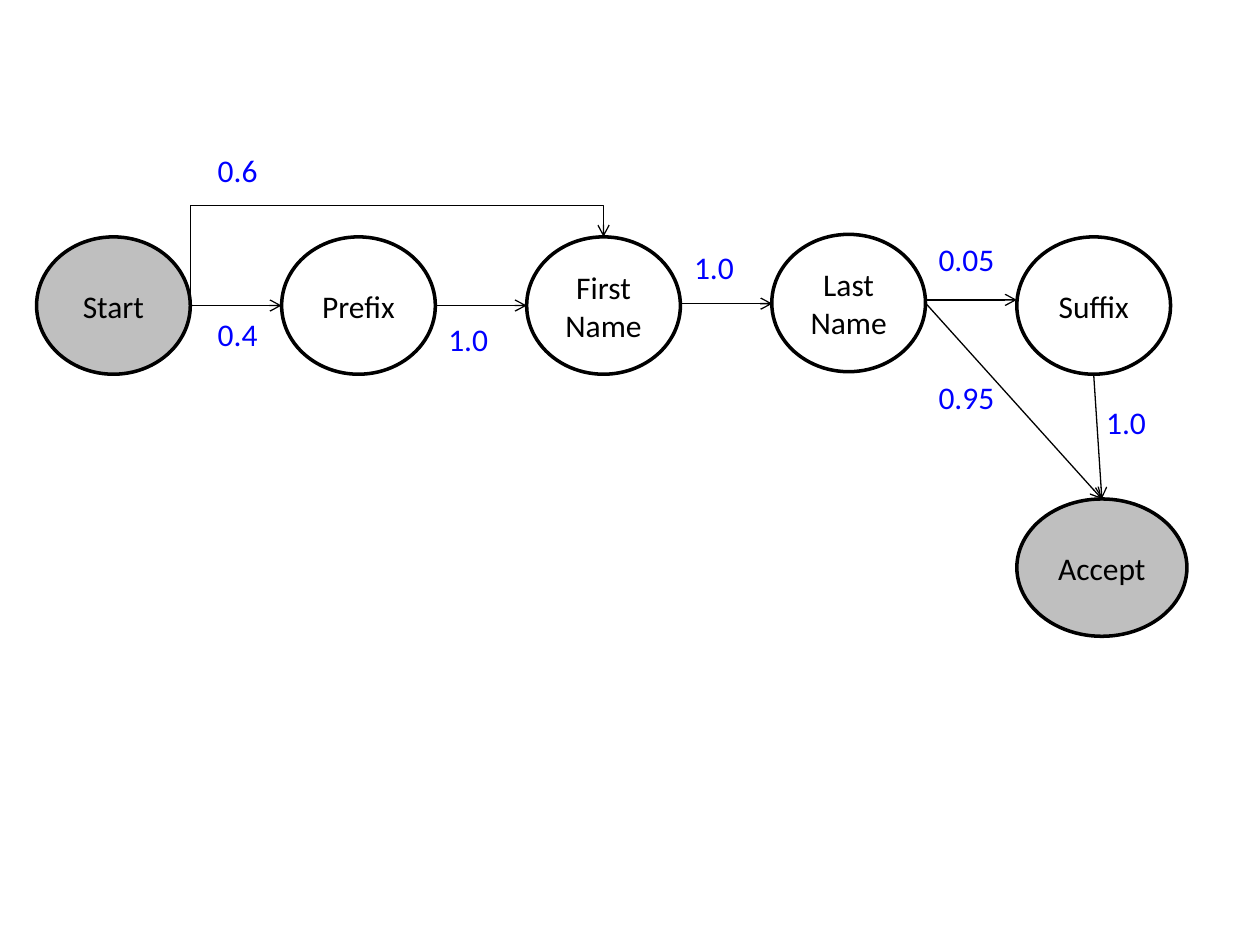
from lxml import etree
from pptx import Presentation, util as u
from pptx.dml.color import RGBColor
from pptx.enum import shapes, text
from pptx.oxml.ns import qn

BLACK, WHITE, GREY, BLUE = "000000", "FFFFFF", "BFBFBF", "0000FF"
LEFT, PITCH, TOP = 0.29, 1.945, 1.88
WIDTH, HEIGHT = 1.22, 1.09

# name: column, top, width, fill
STATES = {
    "Prefix": (1, TOP, WIDTH, WHITE),
    "First Name": (2, TOP, WIDTH, WHITE),
    "Last Name": (3, TOP - 0.02, WIDTH, WHITE),
    "Suffix": (4, TOP, WIDTH, WHITE),
    "Start": (0, TOP, WIDTH, GREY),
    "Accept": (4, 3.96, 1.35, GREY),
}
# Connection sites of an ellipse: index, share of width, share of height
SITES = {"top": (0, 0.5, 0), "left": (2, 0, 0.5),
         "bottom": (4, 0.5, 1), "right": (6, 1, 0.5)}
JOINED = [
    ("Start", "right", "Prefix", "left"),
    ("Prefix", "right", "First Name", "left"),
    ("Last Name", "right", "Accept", "top"),
    ("Suffix", "bottom", "Accept", "top"),
]
FREE = [((5.4, 2.41), (6.13, 2.41)), ((7.35, 2.38), (8.07, 2.38))]
# label, left, top, width
PROBABILITIES = [
    ("1.0", 3.46, 2.49, 0.84), ("1.0", 5.41, 1.92, 1.11),
    ("0.05", 7.35, 1.86, 1.11), ("0.95", 7.35, 2.95, 1.11),
    ("0.4", 1.63, 2.45, 0.84), ("0.6", 1.63, 1.15, 0.84),
    ("1.0", 8.68, 3.15, 1.11),
]


def rgb(value):
    return RGBColor.from_string(value)


def write(shape, words, color):
    tf = shape.text_frame
    tf.word_wrap = True
    tf.text = words
    font = tf.paragraphs[0].runs[0].font
    font.name, font.size = "Calibri", u.Pt(18)
    font.color.rgb = rgb(color)
    return tf


def add_state(s, name, column, top, width, fill):
    left = LEFT + column * PITCH
    sp = s.shapes.add_shape(shapes.MSO_SHAPE.OVAL, *map(u.Inches, (left, top, width, HEIGHT)))
    sp.shadow.inherit = False
    sp.fill.solid()
    sp.fill.fore_color.rgb = rgb(fill)
    sp.line.color.rgb = rgb(BLACK)
    sp.line.width = u.Pt(2)
    tf = write(sp, name, BLACK)
    tf.vertical_anchor = text.MSO_ANCHOR.MIDDLE
    tf.paragraphs[0].alignment = text.PP_ALIGN.CENTER
    return sp


def add_arrow(s, start, end, kind=shapes.MSO_CONNECTOR.STRAIGHT):
    ln = s.shapes.add_connector(kind, *start, *end)
    ln.line.color.rgb = rgb(BLACK)
    ln.line.width = u.Pt(0.75)
    etree.SubElement(ln.line._get_or_add_ln(), qn("a:tailEnd"), type="arrow")
    etree.SubElement(ln._element.spPr, qn("a:effectLst"))
    return ln


def join(s, first, first_site, second, second_site, kind=shapes.MSO_CONNECTOR.STRAIGHT):
    """Draw an arrow glued to ellipse sites, which begin_connect does not cover."""
    ends = [(first, SITES[first_site]), (second, SITES[second_site])]
    points = [(int(sp.left + x * sp.width), int(sp.top + y * sp.height))
              for sp, (_, x, y) in ends]
    ln = add_arrow(s, *points, kind)
    for tag, (sp, site) in zip(("a:stCxn", "a:endCxn"), ends):
        etree.SubElement(ln._element.nvCxnSpPr.cNvCxnSpPr, qn(tag),
                         id=str(sp.shape_id), idx=str(site[0]))
    return ln


def main():
    prs = Presentation()
    prs.slide_width, prs.slide_height = u.Inches(10), u.Inches(7.5)
    s = prs.slides.add_slide(prs.slide_layouts[6])

    states = {name: add_state(s, name, *place) for name, place in STATES.items()}
    for first, first_site, second, second_site in JOINED:
        join(s, states[first], first_site, states[second], second_site)
    for start, end in FREE:
        add_arrow(s, map(u.Inches, start), map(u.Inches, end))

    bypass = join(s, states["Start"], "right", states["First Name"], "top",
                  shapes.MSO_CONNECTOR.ELBOW)
    geometry = bypass._element.spPr.find(qn("a:prstGeom"))
    geometry.set("prst", "bentConnector4")
    guides = geometry.find(qn("a:avLst"))
    for name, share in (("adj1", 100), ("adj2", 145800)):
        etree.SubElement(guides, qn("a:gd"), name=name, fmla=f"val {share}")

    for label, left, top, width in PROBABILITIES:
        box = s.shapes.add_textbox(*map(u.Inches, (left, top, width, 0.4)))
        write(box, label, BLUE).auto_size = text.MSO_AUTO_SIZE.SHAPE_TO_FIT_TEXT

    prs.save("out.pptx")


if __name__ == "__main__":
    main()
